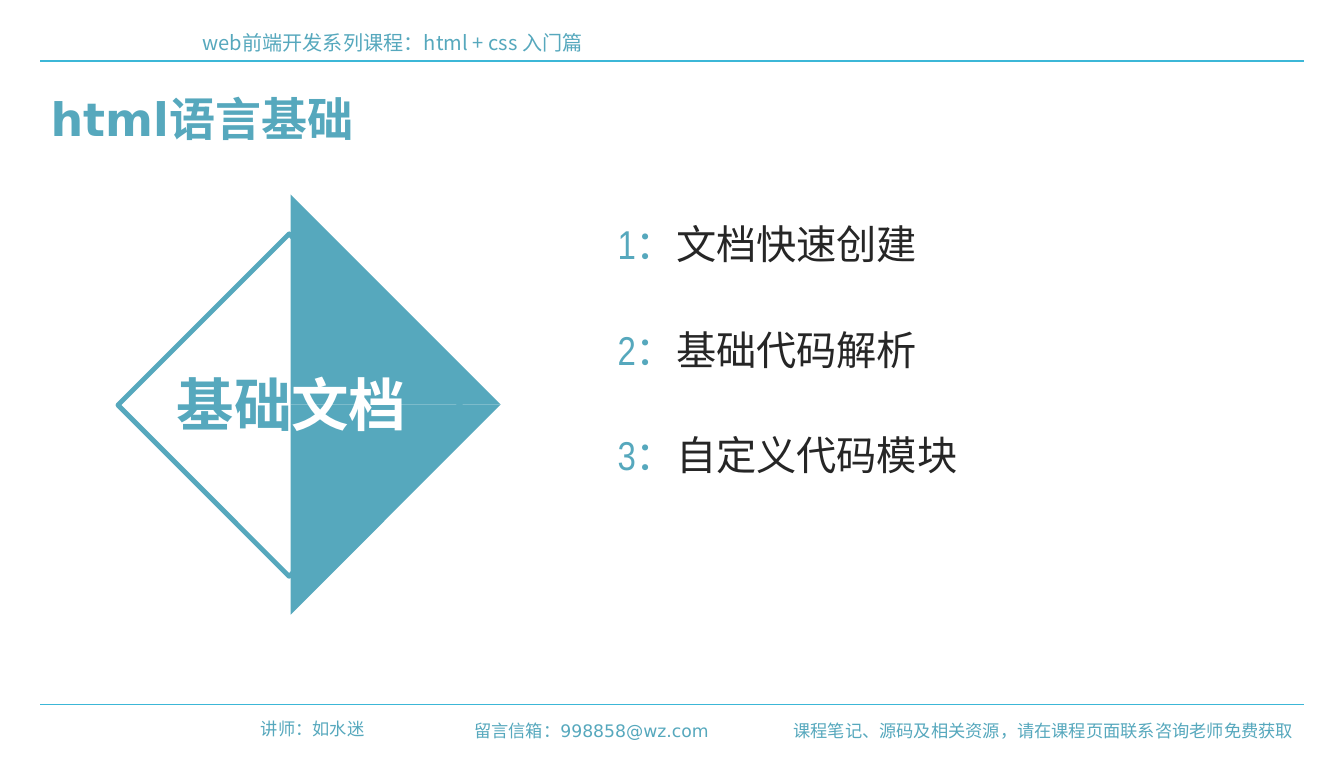
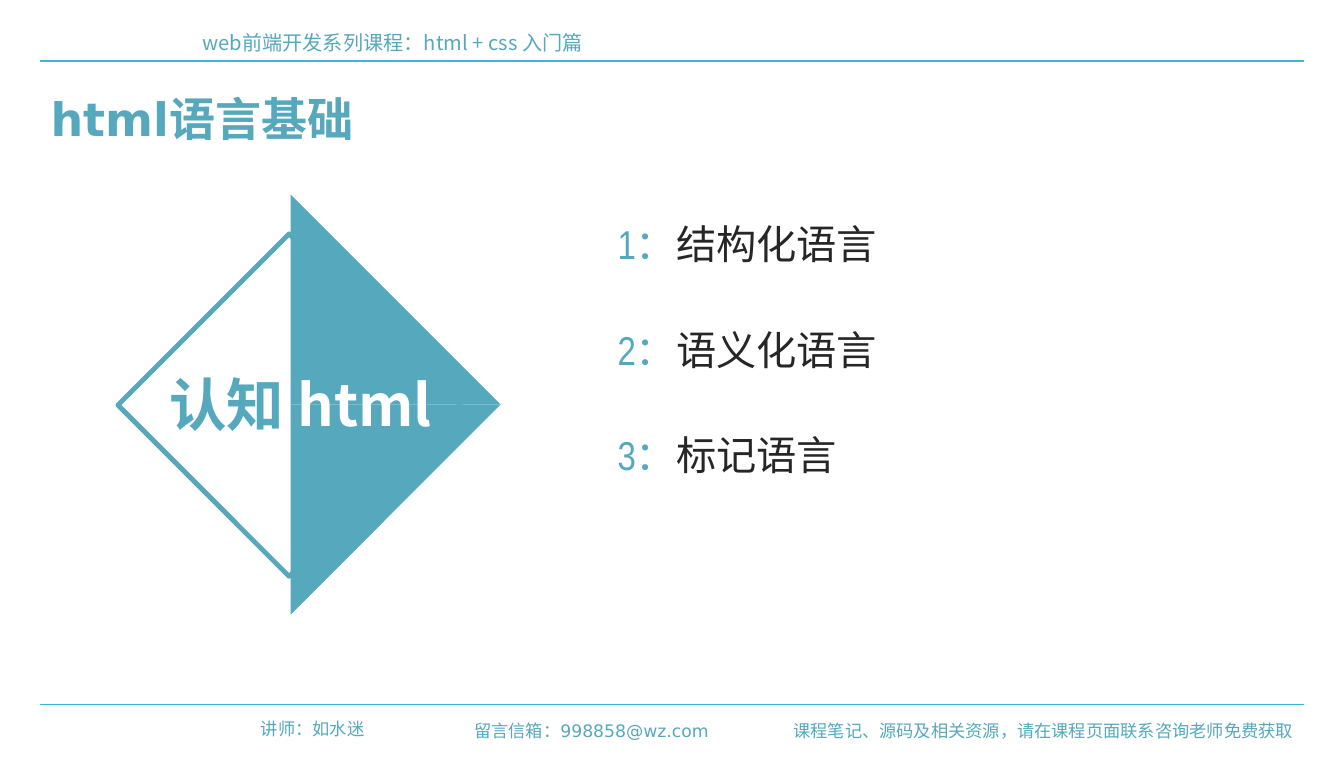
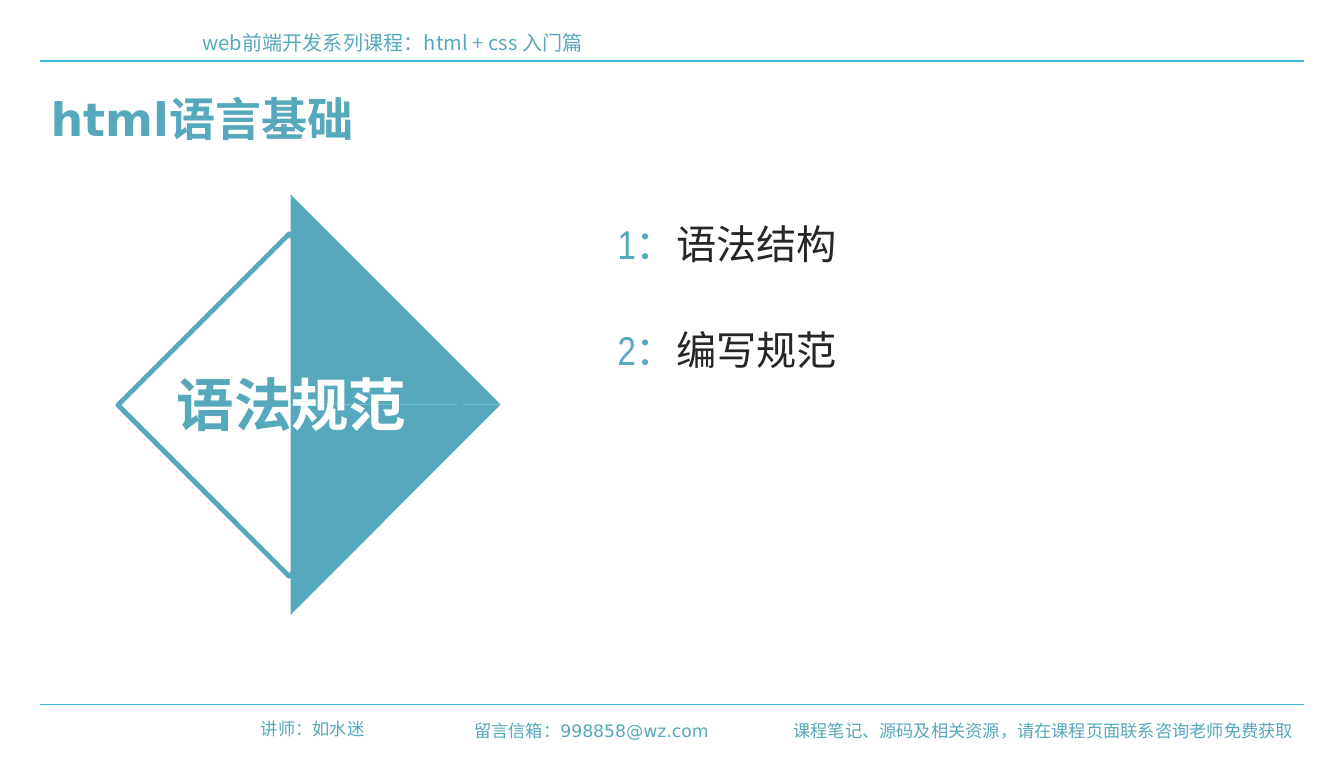
import pptx
import pptx.enum.shapes
import pptx.enum.text
import pptx.dml.color
import pptx.oxml.ns
import pptx.util
import lxml.etree

PX = 9144
COLORS = {"teal": "56A8BD", "rule": "3CB7D7", "ink": "262626", "white": "FFFFFF"}
FONTS = {"plain": "DejaVu Sans", "cjk": "Noto Sans CJK SC", "narrow": "Arial Narrow"}
RIGHT = pptx.enum.text.PP_ALIGN.RIGHT
LEFT = pptx.enum.text.PP_ALIGN.LEFT

STYLES = {
    "header": {"font": "cjk", "size": 14, "bold": False},
    "footer": {"font": "plain", "size": 12, "bold": False},
    "title": {"font": "plain", "size": 32, "bold": True},
    "topic": {"font": "cjk", "size": 40, "bold": True},
    "item": {"font": "narrow", "size": 28, "bold": False},
}

HEADER_BOX = (39, 24, 1221, 35)
TITLE_BOX = (39, 83, 1220, 64)
TOPIC_BOX = (114, 188, 370, 406)
ITEMS_BOX = (587, 207, 575, 261)
FOOTER_BOX = (39, 681, 1221, 40)

FOOTER_NOTES = [
    (185, 8, 138, "讲师：如水迷"),
    (390, 10, 266, "留言信箱：998858@wz.com"),
    (713, 10, 508, "课程笔记、源码及相关资源，请在课程页面联系咨询老师免费获取"),
]

SLIDES = [
    {"topic": ("基础", "文档"), "indent": 47,
     "items": ["文档快速创建", "基础代码解析", "自定义代码模块"]},
    {"topic": ("认知 ", "html"), "indent": 40,
     "items": ["结构化语言", "语义化语言", "标记语言"]},
    {"topic": ("语法", "规范"), "indent": 47,
     "items": ["语法结构", "编写规范"]},
]


def px(*lengths):
    return [pptx.util.Emu(length * PX) for length in lengths]


def color(name):
    return pptx.dml.color.RGBColor.from_string(COLORS[name])


def add_child(parent, tag, **attributes):
    return lxml.etree.SubElement(parent, pptx.oxml.ns.qn(tag), attributes)


def add_text(page, box, style, spans, align=LEFT):
    frame = page.shapes.add_textbox(*px(*box)).text_frame
    frame_format = {
        "word_wrap": True,
        "auto_size": pptx.enum.text.MSO_AUTO_SIZE.SHAPE_TO_FIT_TEXT,
    }
    for name, value in frame_format.items():
        setattr(frame, name, value)
    para = frame.paragraphs[0]
    para.alignment = align
    look = STYLES[style]
    typeface = FONTS[look["font"]]
    font_format = {
        "name": typeface,
        "size": pptx.util.Pt(look["size"]),
        "bold": look["bold"],
    }
    for text, tint in spans:
        span = para.add_run()
        span.text = text
        for name, value in font_format.items():
            setattr(span.font, name, value)
        span.font.color.rgb = color(tint)
        properties = span._r.get_or_add_rPr()
        properties.set("lang", "zh-CN")
        add_child(properties, "a:ea", typeface=typeface)


def add_rule(page, left, top, width):
    rule = page.shapes.add_connector(
        pptx.enum.shapes.MSO_CONNECTOR.STRAIGHT, *px(left, top, left + width, top))
    rule.line.color.rgb = color("rule")
    rule.line.width = pptx.util.Pt(0.75)
    add_child(rule._element.spPr, "a:effectLst")


def add_header(page, box):
    left, top, width, height = box
    add_rule(page, left, top + height, width)
    add_text(page, (left + 147, top, 1051, 34), "header",
             [("web前端开发系列课程：html + css 入门篇", "teal")])


def add_footer(page, box):
    left, top, width, height = box
    add_rule(page, left, top, width)
    for offset, drop, note_width, note in FOOTER_NOTES:
        add_text(page, (left + offset, top + drop, note_width, 30), "footer",
                 [(note, "teal")], RIGHT)


def add_triangle(page, corners):
    builder = page.shapes.build_freeform(*corners[0], scale=PX)
    builder.add_line_segments(corners[1:], close=True)
    triangle = builder.convert_to_shape()
    triangle.shadow.inherit = False
    triangle.fill.solid()
    triangle.fill.fore_color.rgb = color("teal")
    triangle.line.fill.background()


def add_topic(page, box, words, indent):
    left, top, width, height = box
    half = height // 2
    spine, middle, tip = left + width - half, top + half, left + width
    for end in (top + height, top):
        add_triangle(page, [(spine, end), (tip, middle), (spine, middle)])
    side = 331
    diamond = page.shapes.add_shape(
        pptx.enum.shapes.MSO_SHAPE.DIAMOND,
        *px(left, top + (height - side) // 2 + 1, side, side))
    diamond.shadow.inherit = False
    diamond.fill.background()
    diamond.line.color.rgb = color("teal")
    diamond.line.width = pptx.util.Pt(3.35)
    add_child(diamond.line._get_or_add_ln(), "a:round")
    add_text(page, (left + indent, top + 164, 300, 77), "topic",
             list(zip(words, ("teal", "white"))))


def add_items(page, box, items):
    left, top, width, height = box
    row = 57
    step = (height - row) // 2
    for index, item in enumerate(items):
        add_text(page, (left, top + index * step, width, row), "item",
                 [(f"{index + 1}：", "teal"), (item, "ink")])


def add_lesson(deck, lesson):
    page = deck.slides.add_slide(deck.slide_layouts[6])
    add_header(page, HEADER_BOX)
    add_footer(page, FOOTER_BOX)
    add_text(page, TITLE_BOX, "title", [("html语言基础", "teal")])
    add_topic(page, TOPIC_BOX, lesson["topic"], lesson["indent"])
    add_items(page, ITEMS_BOX, lesson["items"])


def main():
    deck = pptx.Presentation()
    deck.slide_width, deck.slide_height = px(1299, 748)
    for lesson in SLIDES:
        add_lesson(deck, lesson)
    deck.save("out.pptx")


if __name__ == "__main__":
    main()
